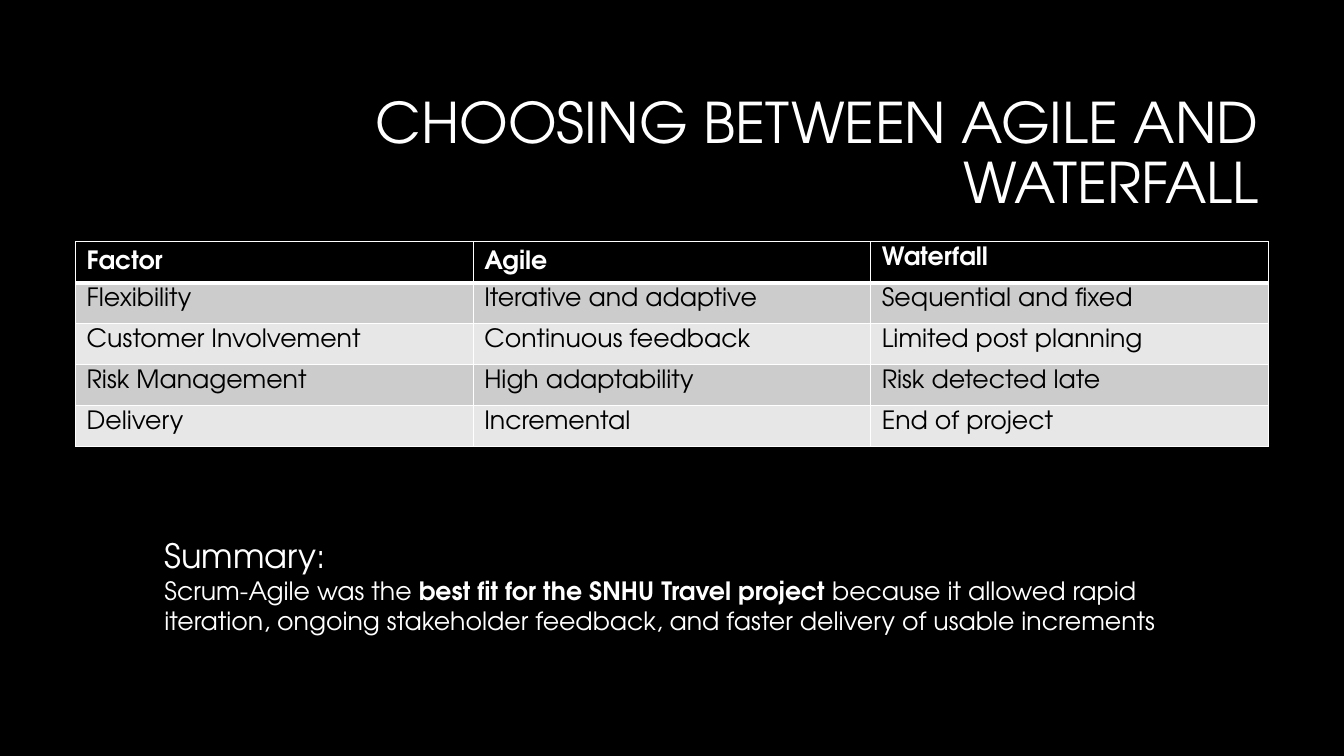
from lxml.etree import SubElement
from pptx import Presentation
from pptx.dml.color import RGBColor
from pptx.enum.text import MSO_ANCHOR, PP_ALIGN
from pptx.oxml.ns import qn
from pptx.util import Inches, Pt

BLACK = RGBColor(0x00, 0x00, 0x00)
WHITE = RGBColor(0xFF, 0xFF, 0xFF)
BANDS = [RGBColor(0xCC, 0xCC, 0xCC), RGBColor(0xE7, 0xE7, 0xE7)]
FONT = "TeX Gyre Adventor"

prs = Presentation()
prs.slide_width, prs.slide_height = Inches(13.33), Inches(7.5)
UNIT = prs.slide_width / 160


def grid(*steps):
    return [round(UNIT * n) for n in steps]


def add_text(p, text, size=18, color=WHITE, bold=False):
    r = p.add_run()
    r.text = text
    r.font.name = FONT
    r.font.size = Pt(size)
    r.font.bold = bold
    r.font.color.rgb = color


def add_borders(cell, top, bottom):
    tc_pr = cell._tc.get_or_add_tcPr()
    for side, width in {"L": 1, "R": 1, "T": top, "B": bottom}.items():
        line = SubElement(tc_pr, qn(f"a:ln{side}"), w=str(Pt(width)))
        fill = SubElement(line, qn("a:solidFill"))
        SubElement(fill, qn("a:srgbClr"), val=str(WHITE))


s = prs.slides.add_slide(prs.slide_layouts[6])
s.background.fill.solid()
s.background.fill.fore_color.rgb = BLACK

tf = s.shapes.add_textbox(*grid(38, 10, 113, 17)).text_frame
tf.word_wrap = True
tf.vertical_anchor = MSO_ANCHOR.MIDDLE
p = tf.paragraphs[0]
p.alignment = PP_ALIGN.RIGHT
p.line_spacing = 0.9
add_text(p, "CHOOSING BETWEEN AGILE AND WATERFALL", size=40)

rows = [
    ("Factor", "Agile", "Waterfall"),
    ("Flexibility", "Iterative and adaptive", "Sequential and fixed"),
    ("Customer Involvement", "Continuous feedback", "Limited post planning"),
    ("Risk Management", "High adaptability", "Risk detected late"),
    ("Delivery", "Incremental", "End of project"),
]
table = s.shapes.add_table(len(rows), 3, *grid(9, 28.8, 142, 24.4)).table
for i, row in enumerate(rows):
    header = i == 0
    for j, text in enumerate(row):
        cell = table.cell(i, j)
        cell.margin_left = cell.margin_right = Inches(0.11)
        cell.margin_top = cell.margin_bottom = Inches(0.05)
        cell.vertical_anchor = MSO_ANCHOR.MIDDLE if header and j < 2 else MSO_ANCHOR.TOP
        add_borders(cell, top=3 if i == 1 else 1, bottom=3 if header else 1)
        cell.fill.solid()
        cell.fill.fore_color.rgb = BLACK if header else BANDS[(i - 1) % 2]
        add_text(cell.text_frame.paragraphs[0], text,
                 color=WHITE if header else BLACK, bold=header)

tf = s.shapes.add_textbox(*grid(18.4, 63.1, 129.7, 13.3)).text_frame
tf.word_wrap = True
add_text(tf.paragraphs[0], "Summary:", size=24)
p = tf.add_paragraph()
add_text(p, "Scrum-Agile was the ")
add_text(p, "best fit for the SNHU Travel project", bold=True)
add_text(p, " because it allowed rapid iteration, ongoing stakeholder feedback, "
            "and faster delivery of usable increments")

prs.save("out.pptx")
